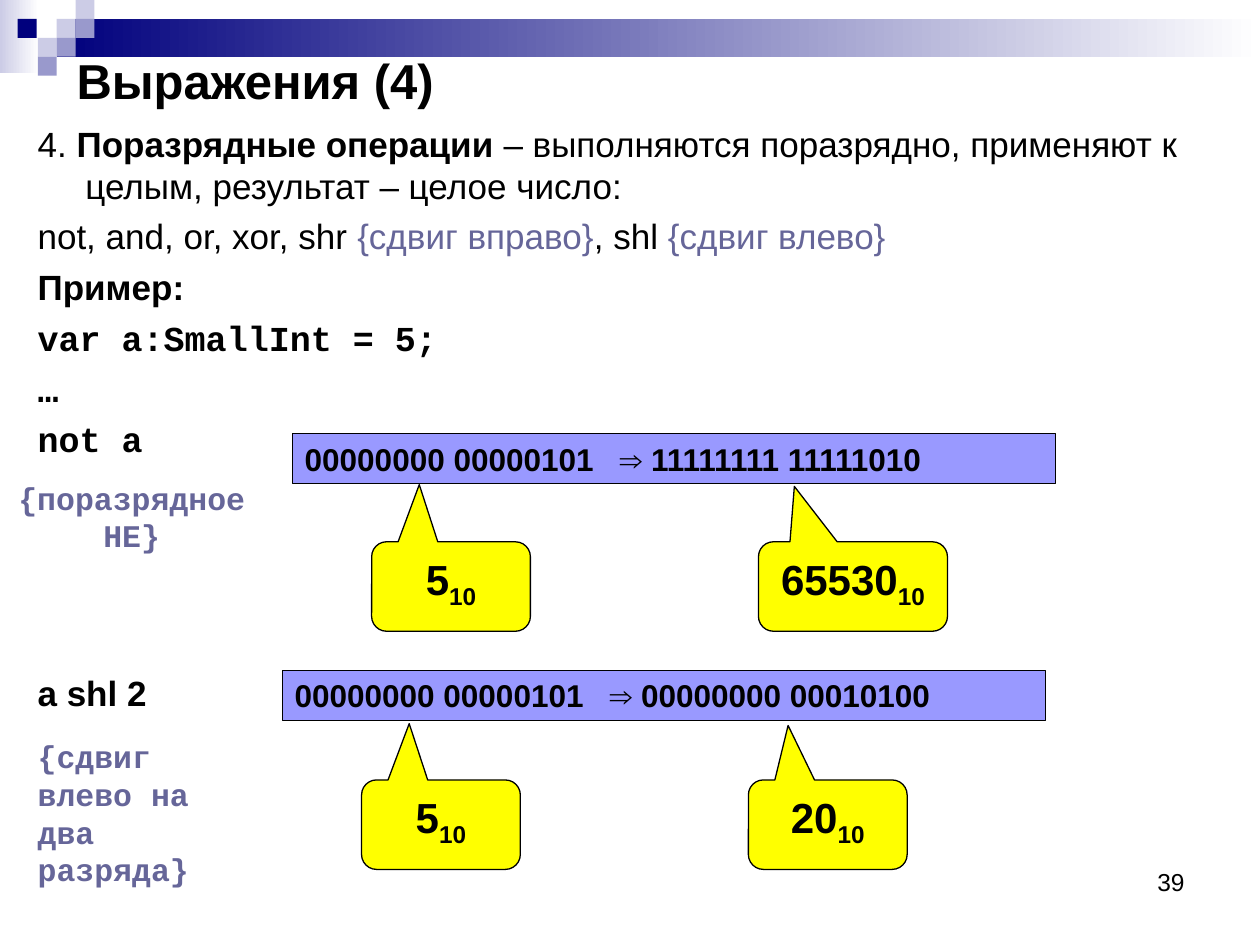
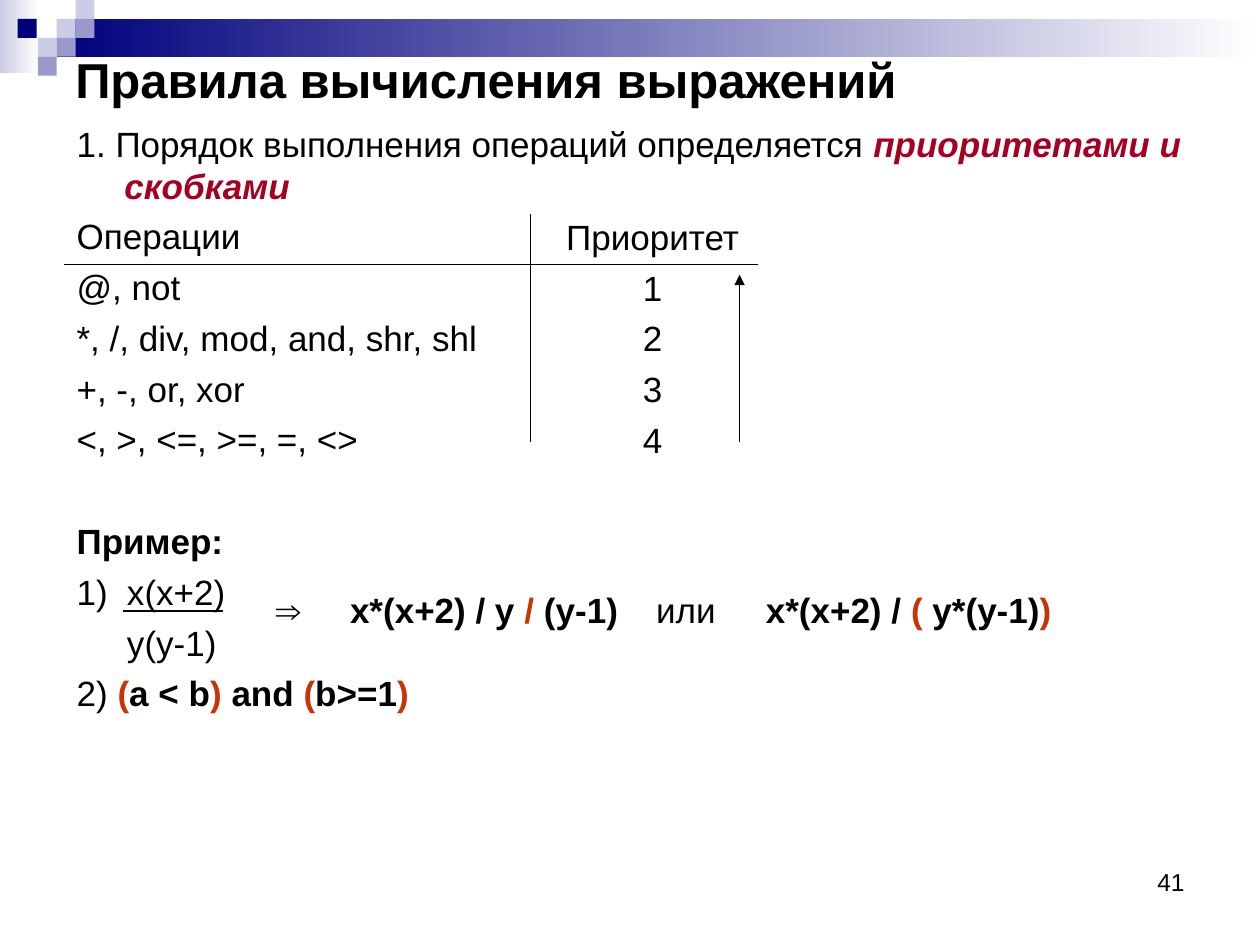
from lxml import etree
from pptx import Presentation
from pptx.dml.color import RGBColor
from pptx.enum.shapes import MSO_CONNECTOR, MSO_SHAPE
from pptx.enum.text import MSO_ANCHOR, PP_ALIGN
from pptx.oxml.ns import qn
from pptx.util import Inches, Pt

RECT = MSO_SHAPE.RECTANGLE
CALLOUT = MSO_SHAPE.ROUNDED_RECTANGULAR_CALLOUT
STRAIGHT = MSO_CONNECTOR.STRAIGHT
LEFT, CENTER, RIGHT = PP_ALIGN.LEFT, PP_ALIGN.CENTER, PP_ALIGN.RIGHT
TOP, MIDDLE = MSO_ANCHOR.TOP, MSO_ANCHOR.MIDDLE

COLORS = {
    "black": "000000", "white": "FFFFFF", "navy": "00007D",
    "pale": "CCCCE6", "lilac": "9999CC", "bits": "9999FF",
    "yellow": "FFFF00", "comment": "666699",
    "crimson": "A50021", "orange": "CC3300",
}
COLORS = {name: RGBColor.from_string(value) for name, value in COLORS.items()}


def write(box, paragraphs, size, align=LEFT, anchor=TOP):
    frame = box.text_frame
    frame.word_wrap = True
    frame.vertical_anchor = anchor
    for number, (options, spans) in enumerate(paragraphs):
        para = frame.paragraphs[0] if number == 0 else frame.add_paragraph()
        para.alignment = align
        para.line_spacing = Pt(size * 1.2)
        if number:
            para.space_before = Pt(options.get("before", 5))
        properties = para._p.get_or_add_pPr()
        hanging = Inches(options.get("hanging", 0))
        properties.set("marL", str(hanging))
        properties.set("indent", str(-hanging))
        if "tab" in options:
            tab_list = etree.SubElement(properties, qn("a:tabLst"))
            etree.SubElement(tab_list, qn("a:tab"), pos=str(Inches(options["tab"])), algn="l")
        for text, *styles in spans:
            span = para.add_run()
            span.text = text
            span.font.name = "Courier New" if "code" in styles else "Arial"
            span.font.size = Pt(size)
            span.font.bold = "bold" in styles
            span.font.italic = "italic" in styles
            color = next((style for style in styles if style in COLORS), "black")
            span.font.color.rgb = COLORS[color]
            if "sub" in styles:
                span._r.get_or_add_rPr().set("baseline", "-25000")


def draw(page, kind, place, fill, outline=None):
    shape = page.shapes.add_shape(kind, *map(Inches, place))
    shape.shadow.inherit = False
    if isinstance(fill, tuple):
        shape.fill.gradient()
        shape.fill.gradient_angle = 0
        for stop, color, position in zip(shape.fill.gradient_stops, fill, (0, 1)):
            stop.color.rgb = COLORS[color]
            stop.position = position
    else:
        shape.fill.solid()
        shape.fill.fore_color.rgb = COLORS[fill]
    if outline:
        shape.line.color.rgb = COLORS[outline]
        shape.line.width = Pt(0.75)
    else:
        shape.line.fill.background()
    return shape


deck = Presentation()
deck.slide_width, deck.slide_height = Inches(10), Inches(7.5)

BANDS = [
    ((0, 0, 0.31, 0.58), ("pale", "white")),
    ((0.45, 0.15, 9.55, 0.3), ("navy", "white")),
]
SQUARES = [
    (0.45, 0.15, "pale"), (0.6, 0, "pale"), (0.6, 0.15, "lilac"),
    (0.3, 0.3, "pale"), (0.14, 0.15, "navy"), (0.45, 0.3, "lilac"),
    (0.3, 0.45, "lilac"),
]
HEADINGS = [
    ("Выражения (4)", (0.51, 0.28, 9, 0.71), "39"),
    ("Правила вычисления выражений", (0.5, 0.5, 9, 0.26), "41"),
]

pages = []
for title, title_place, page_number in HEADINGS:
    page = deck.slides.add_slide(deck.slide_layouts[6])
    pages.append(page)
    for place, gradient in BANDS:
        draw(page, RECT, place, gradient)
    for left, top, color in SQUARES:
        draw(page, RECT, (left, top, 0.15, 0.15), color)
    number_box = page.shapes.add_textbox(*map(Inches, (7.17, 6.83, 2.33, 0.52)))
    write(number_box, [({}, [(page_number,)])], 14, RIGHT)
    title_box = page.shapes.add_textbox(*map(Inches, title_place))
    write(title_box, [({}, [(title, "bold")])], 28, anchor=MIDDLE)

bitwise, rules = pages

body = bitwise.shapes.add_textbox(*map(Inches, (0.2, 0.92, 9.32, 6.3)))
write(body, [
    ({"hanging": 0.38}, [
        ("4. ",), ("Поразрядные операции ", "bold"),
        ("– выполняются поразрядно, применяют к целым, результат – целое число:",)]),
    ({}, [
        ("not, and, or, xor, shr ",), ("{сдвиг вправо}", "comment"),
        (", shl ",), ("{сдвиг влево}", "comment")]),
    ({}, [("Пример:", "bold")]),
    ({}, [("var a:SmallInt = 5;", "bold", "code")]),
    ({}, [("…", "bold", "code")]),
    ({}, [("not a", "bold", "code")]),
    ({"before": 121}, [("a shl 2", "bold")]),
], 20)

EXAMPLES = [
    (2.24, 5.32, "00000000 00010100", 6.19,
     [("5", 1.26, -0.2, -1.13), ("20", 1.26, -0.25, -1.11)]),
    (2.32, 3.44, "11111111 11111010", 4.3,
     [("5", 1.26, -0.2, -1.14), ("65530", 1.5, -0.31, -1.12)]),
]
for left, top, result, callout_top, callouts in EXAMPLES:
    bits = draw(bitwise, RECT, (left, top, 6.06, 0.4), "bits", "black")
    write(bits, [({"tab": 2.5}, [(f"00000000 00000101\t⇒ {result}", "bold")])], 18)
    for offset, (value, width, tip_x, tip_y) in zip((0.63, 3.7), callouts):
        place = (left + offset, callout_top, width, 0.71)
        callout = draw(bitwise, CALLOUT, place, "yellow", "black")
        callout.adjustments[0] = tip_x
        callout.adjustments[1] = tip_y
        write(callout, [({}, [(value, "bold"), ("10", "bold", "sub")])], 24, CENTER)
        callout.text_frame.margin_top = Inches(0.11)

REMARKS = [
    ("{cдвиг влево на два разряда}", (0.2, 5.8, 1.65, 1.3), LEFT),
    ("{поразрядное НЕ}", (0, 3.75, 2.09, 0.7), CENTER),
]
for remark, place, align in REMARKS:
    remark_box = bitwise.shapes.add_textbox(*map(Inches, place))
    write(remark_box, [({}, [(remark, "bold", "code", "comment")])], 18, align)

OPERATIONS = [
    "Операции", "@, not", "*, /, div, mod, and, shr, shl",
    "+, -, or, xor", "<, >, <=, >=, =, <>",
]
PRIORITIES = ["Приоритет", "1", "2", "3", "4"]

body = rules.shapes.add_textbox(*map(Inches, (0.51, 0.92, 9, 6.3)))
write(body, [
    ({"hanging": 0.38}, [
        ("1. Порядок выполнения операций определяется ",),
        ("приоритетами и скобками", "bold", "italic", "crimson")]),
    *[({}, [(operation,)]) for operation in OPERATIONS],
    ({"before": 34}, [("Пример:", "bold")]),
    ({}, [("1)",)]),
    ({"before": 34}, [
        ("2) ",), ("(", "bold", "orange"), ("a < b", "bold"),
        (") ", "bold", "orange"), ("and ", "bold"), ("(", "bold", "orange"),
        ("b>=1", "bold"), (")", "bold", "orange")]),
], 20)

priority_box = rules.shapes.add_textbox(*map(Inches, (4.28, 1.66, 1.8, 1.95)))
write(priority_box, [({}, [(priority,)]) for priority in PRIORITIES], 20, CENTER)

fraction_box = rules.shapes.add_textbox(*map(Inches, (0.91, 4.48, 1.1, 0.85)))
write(fraction_box, [({}, [("x(x+2)",)]), ({}, [("y(y-1)",)])], 20)

FORMULA_PARTS = [
    (2.09, 0.5, [("⇒", "bold")]),
    (2.68, 2.4, [("x*(x+2) / y ", "bold"), ("/ ", "bold", "orange"), ("(y-1)", "bold")]),
    (5.11, 0.8, [("или",)]),
    (5.98, 2.6, [("x*(x+2) / ", "bold"), ("( ", "bold", "orange"),
                 ("y*(y-1)", "bold"), (")", "bold", "orange")]),
]
for left, width, spans in FORMULA_PARTS:
    formula_box = rules.shapes.add_textbox(*map(Inches, (left, 4.62, width, 0.44)))
    write(formula_box, [({}, spans)], 20)

LINES = [
    (0.98, 4.85, 1.77, 4.85, False),
    (5.87, 3.51, 5.87, 2.18, True),
    (0.51, 2.1, 6.02, 2.1, False),
    (4.21, 1.7, 4.21, 3.51, False),
]
for *ends, has_arrow in LINES:
    line = rules.shapes.add_connector(STRAIGHT, *map(Inches, ends))
    line.line.color.rgb = COLORS["black"]
    line.line.width = Pt(0.75)
    if has_arrow:
        etree.SubElement(line.line._get_or_add_ln(), qn("a:tailEnd"), type="triangle")
    etree.SubElement(line._element.spPr, qn("a:effectLst"))

deck.save("out.pptx")
